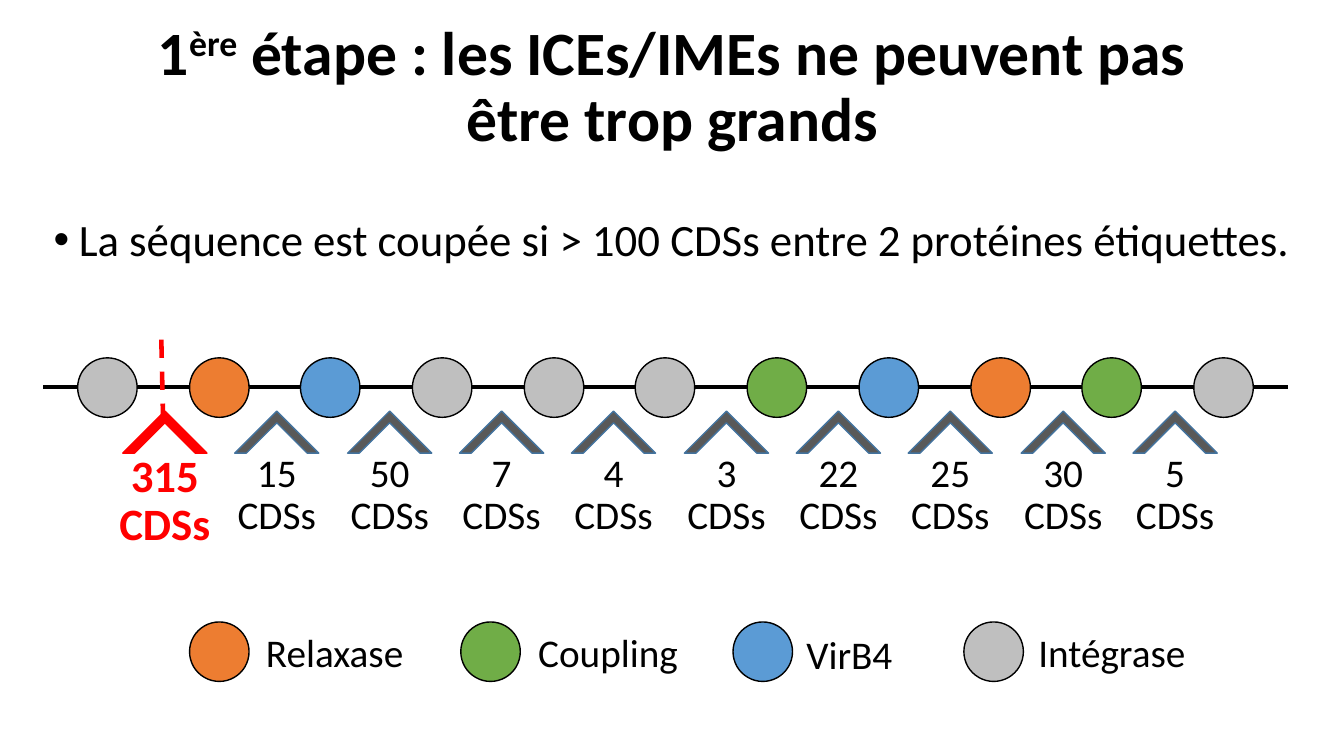
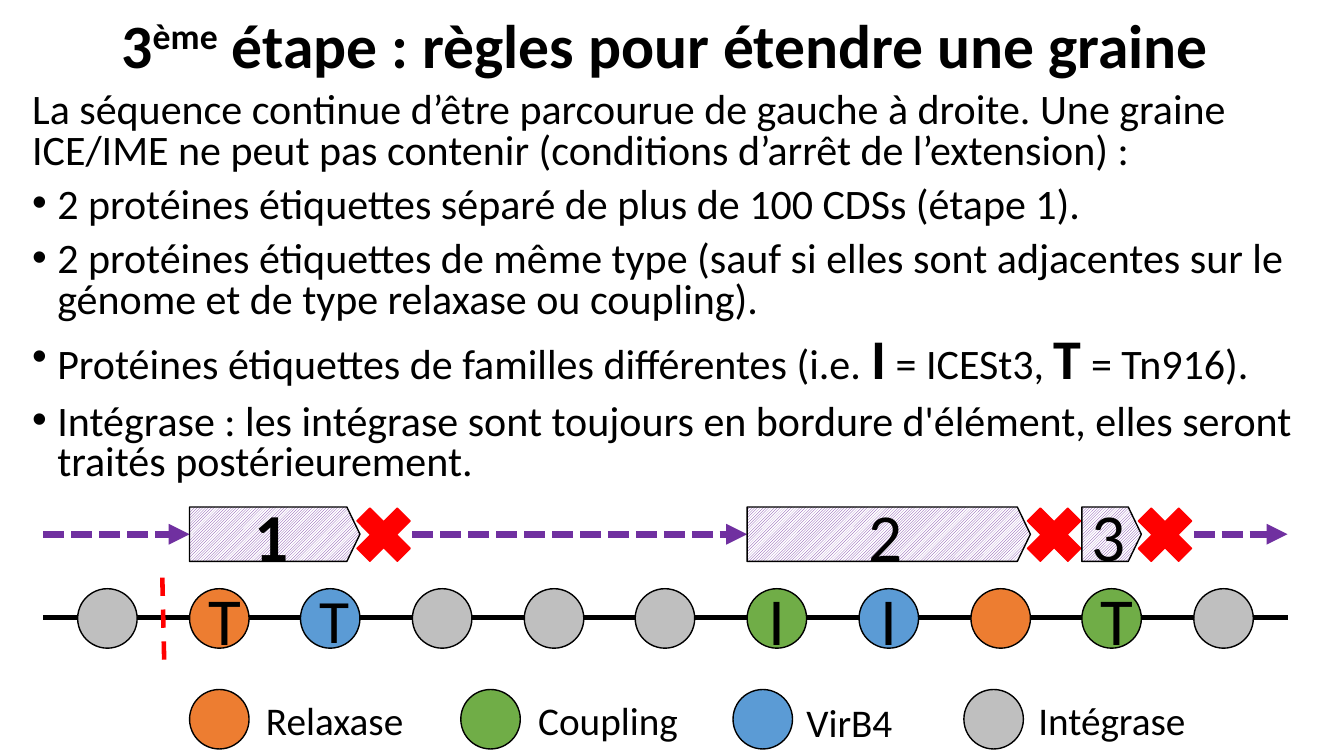
"""Builds two slides on the rules that delimit ICE and IME elements along a genome."""
from dataclasses import dataclass

from lxml import etree
from pptx import Presentation
from pptx.dml.color import RGBColor
from pptx.enum.dml import MSO_LINE, MSO_PATTERN
from pptx.enum.shapes import MSO_CONNECTOR, MSO_SHAPE
from pptx.enum.text import MSO_ANCHOR, PP_ALIGN
from pptx.oxml.ns import qn
from pptx.util import Pt

CENTER, LEFT = PP_ALIGN.CENTER, PP_ALIGN.LEFT
TOP, MIDDLE = MSO_ANCHOR.TOP, MSO_ANCHOR.MIDDLE
OVAL, HALF_FRAME = MSO_SHAPE.OVAL, MSO_SHAPE.HALF_FRAME
PLATE, CROSS = MSO_SHAPE.PENTAGON, MSO_SHAPE.MATH_MULTIPLY
DASH, SQUARE_DOT = MSO_LINE.DASH, MSO_LINE.SQUARE_DOT
STRAIGHT = MSO_CONNECTOR.STRAIGHT
UP_DIAGONAL = MSO_PATTERN.DARK_UPWARD_DIAGONAL
PX = 9144


@dataclass(frozen=True)
class Style:
    """Look of one span of text."""
    size: int
    bold: bool = False
    color: str = "000000"
    baseline: int = 0


class Theme:
    """Colours and type shared by both slides."""
    font = "Calibri"
    black, white, red, purple = "000000", "FFFFFF", "FF0000", "7030A0"
    bracket, bracket_edge = "595959", "43739E"
    proteins = {"relaxase": "ED7D31", "coupling": "70AD47",
                "virb4": "5B9BD5", "integrase": "BFBFBF"}
    title = Style(44, True)
    ordinal = Style(44, True, baseline=30000)
    lead = Style(32)
    body = Style(30)
    family = Style(40, True)
    label = Style(28)
    cut = Style(32, True, red)
    letter = Style(48)
    small_letter = Style(44)
    first_seed = Style(48, True)


PROTEINS = ["integrase", "relaxase", "virb4", "integrase", "integrase", "integrase",
            "coupling", "virb4", "relaxase", "coupling", "integrase"]
GAPS = [315, 15, 50, 7, 4, 3, 22, 25, 30, 5]
MAX_GAP = 100
LEGEND = [("Relaxase", "relaxase", 188, 254, 7), ("Coupling", "coupling", 457, 524, 7),
          ("VirB4", "virb4", 727, 790, 9), ("Intégrase", "integrase", 956, 1020, 7)]
FAMILIES = {1: ("T", Theme.letter), 2: ("T", Theme.small_letter), 6: ("I", Theme.letter),
            7: ("I", Theme.letter), 9: ("T", Theme.letter)}
SEEDS = [("1", 1, 2, Theme.first_seed), ("2", 6, 8, Theme.letter), ("3", 9, 9, Theme.letter)]

CUT_TITLE = [("1", Theme.title), ("ère", Theme.ordinal),
             (" étape : les ICEs/IMEs ne peuvent pas être trop grands", Theme.title)]
CUT_RULE = [("La séquence est coupée si > 100 CDSs entre 2 protéines étiquettes.", Theme.lead)]
EXTEND_TITLE = [("3", Theme.title), ("ème", Theme.ordinal),
                (" étape : règles pour étendre une graine ", Theme.title)]
EXTEND_INTRO = [("La séquence continue d’être parcourue de gauche à droite. Une graine ICE/IME "
                 "ne peut pas contenir (conditions d’arrêt de l’extension) :", Theme.body)]
EXTEND_RULES = [
    [("2 protéines étiquettes séparé de plus de 100 CDSs (étape 1).", Theme.body)],
    [("2 protéines étiquettes de même type (sauf si elles sont adjacentes sur le génome "
      "et de type relaxase ou coupling).", Theme.body)],
    [("Protéines étiquettes de familles différentes (i.e. ", Theme.body), ("I", Theme.family),
     (" = ICESt3, ", Theme.body), ("T", Theme.family), (" = Tn916).", Theme.body)],
    [("Intégrase : les intégrase sont toujours en bordure d'élément, elles seront "
      "traités postérieurement.", Theme.body)],
]

DISC = 59
STRAND_LEFT, STRAND_RIGHT = 43, 1277
DISC_LEFTS = [round(77 + 110.7 * i) for i in range(len(PROTEINS))]
BRACKET_LEFTS = [round(134 + 111.33 * i) for i in range(len(GAPS))]


def px(*lengths):
    return [round(length * PX) for length in lengths]


def rgb(color):
    return RGBColor.from_string(color)


def write(para, spans, align=LEFT, spacing=None, before=0, bullet=False):
    if bullet:
        props = para._p.get_or_add_pPr()
        props.set("marL", str(25 * PX))
        props.set("indent", str(-25 * PX))
        etree.SubElement(props, qn("a:buFont")).set("typeface", "Arial")
        etree.SubElement(props, qn("a:buChar")).set("char", "•")
    para.alignment = align
    para.space_before = Pt(before)
    if spacing:
        para.line_spacing = spacing
    for text, style in spans:
        span = para.add_run()
        span.text = text
        span.font.name = Theme.font
        span.font.size = Pt(style.size)
        span.font.bold = style.bold
        span.font.color.rgb = rgb(style.color)
        if style.baseline:
            span._r.get_or_add_rPr().set("baseline", str(style.baseline))


def add_text(page, at, spans, align=LEFT, anchor=TOP, spacing=0.9, bullet=False):
    frame = page.shapes.add_textbox(*px(*at)).text_frame
    frame.word_wrap = True
    frame.vertical_anchor = anchor
    write(frame.paragraphs[0], spans, align, spacing, bullet=bullet)
    return frame


def add_figure(page, kind, at, fill, edge=Theme.black, spans=(), adjust=()):
    figure = page.shapes.add_shape(kind, *px(*at))
    figure.shadow.inherit = False
    for i, value in enumerate(adjust):
        figure.adjustments[i] = value
    figure.fill.solid()
    figure.fill.fore_color.rgb = rgb(fill)
    figure.line.color.rgb = rgb(edge)
    figure.line.width = Pt(1)
    figure.text_frame.vertical_anchor = MIDDLE
    write(figure.text_frame.paragraphs[0], spans, CENTER)
    return figure


def add_line(page, ends, color, width, dash=None, arrow=False):
    link = page.shapes.add_connector(STRAIGHT, *px(*ends))
    link.line.color.rgb = rgb(color)
    link.line.width = Pt(width)
    if dash:
        link.line.dash_style = dash
    if arrow:
        etree.SubElement(link.line._get_or_add_ln(), qn("a:tailEnd")).set("type", "triangle")
    etree.SubElement(link._element.spPr, qn("a:effectLst"))


def add_title(page, spans, height):
    add_text(page, (92, 0, 1150, height), spans, CENTER, MIDDLE)


def add_disc(page, protein, left, top, spans=()):
    add_figure(page, OVAL, (left, top, DISC, DISC), Theme.proteins[protein], spans=spans)


def add_strand(page, top, letters):
    middle = top + DISC // 2
    add_line(page, (STRAND_LEFT, middle, STRAND_RIGHT, middle), Theme.black, 3.5)
    for i, (protein, left) in enumerate(zip(PROTEINS, DISC_LEFTS)):
        add_disc(page, protein, left, top, [letters[i]] if i in letters else [])


def add_cut(page, left, top):
    add_line(page, (left, top, left + 2, top + 89), Theme.red, 3.25, DASH)


def add_legend(page, top):
    for name, protein, left, text_left, drop in LEGEND:
        add_disc(page, protein, left, top)
        add_text(page, (text_left, top + drop, 186, 62), [(name, Theme.label)])


def add_gap(page, count, left):
    too_long = count > MAX_GAP
    style = Theme.cut if too_long else Theme.label
    fill = Theme.red if too_long else Theme.bracket
    edge = Theme.red if too_long else Theme.bracket_edge
    add_text(page, (left - 28, 445, 115, 103), [(f"{count} CDSs", style)], CENTER)
    bracket = add_figure(page, HALF_FRAME, (left, 420, DISC, DISC), fill, edge,
                         adjust=(0.14, 0.14))
    bracket.rotation = 45


def add_seed(page, name, first, last, style):
    left, right = DISC_LEFTS[first], DISC_LEFTS[last] + DISC
    plate = add_figure(page, PLATE, (left, 503, right - left, 54), Theme.white,
                       spans=[(name, style)], adjust=(0.24,))
    plate.fill.patterned()
    plate.fill.pattern = UP_DIAGONAL
    plate.fill.fore_color.rgb = rgb(Theme.purple)
    plate.fill.back_color.rgb = rgb(Theme.white)
    add_figure(page, CROSS, (right - 15, 492, 77, 77), Theme.red, Theme.red)


def build_cut_page(page):
    add_title(page, CUT_TITLE, 176)
    add_text(page, (0, 211, 1333, 87), CUT_RULE, CENTER, bullet=True)
    add_strand(page, 355, {})
    for count, left in zip(GAPS, BRACKET_LEFTS):
        add_gap(page, count, left)
    add_cut(page, 160, 337)
    add_legend(page, 617)


def build_extend_page(page):
    add_title(page, EXTEND_TITLE, 96)
    frame = add_text(page, (22, 87, 1292, 402), EXTEND_INTRO, spacing=0.8)
    for rule in EXTEND_RULES:
        write(frame.add_paragraph(), rule, spacing=0.8, before=10, bullet=True)
    add_strand(page, 584, FAMILIES)
    add_legend(page, 684)
    scans = [(STRAND_LEFT, DISC_LEFTS[1]), (DISC_LEFTS[3], DISC_LEFTS[6]),
             (DISC_LEFTS[10], STRAND_RIGHT)]
    for start, end in scans:
        add_line(page, (start, 530, end, 530), Theme.purple, 5, SQUARE_DOT, True)
    for seed in SEEDS:
        add_seed(page, *seed)
    add_cut(page, 161, 573)


def main():
    deck = Presentation()
    deck.slide_width, deck.slide_height = px(1333, 750)
    blank = deck.slide_layouts[6]
    for build in (build_cut_page, build_extend_page):
        build(deck.slides.add_slide(blank))
    deck.save("out.pptx")


if __name__ == "__main__":
    main()
